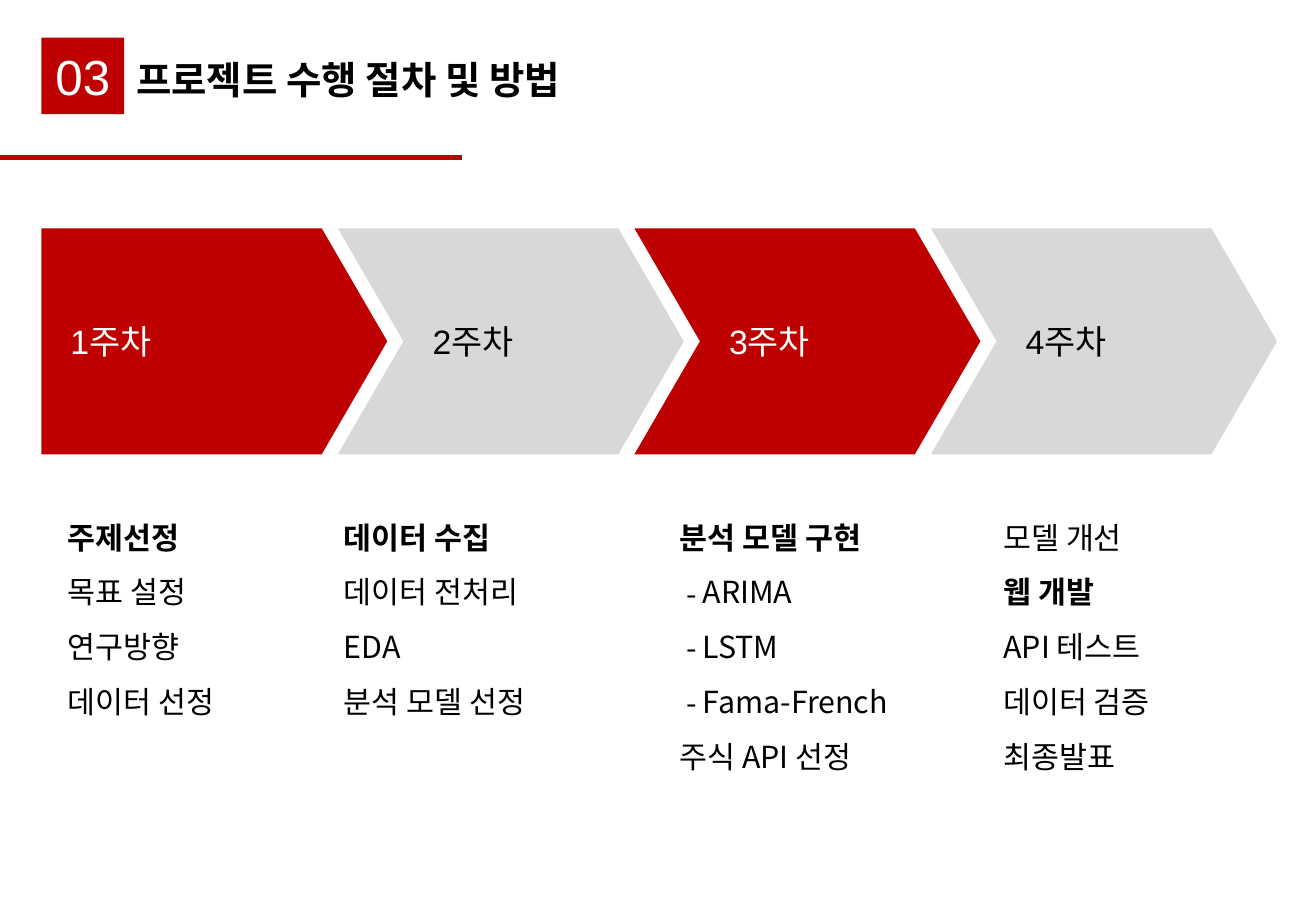
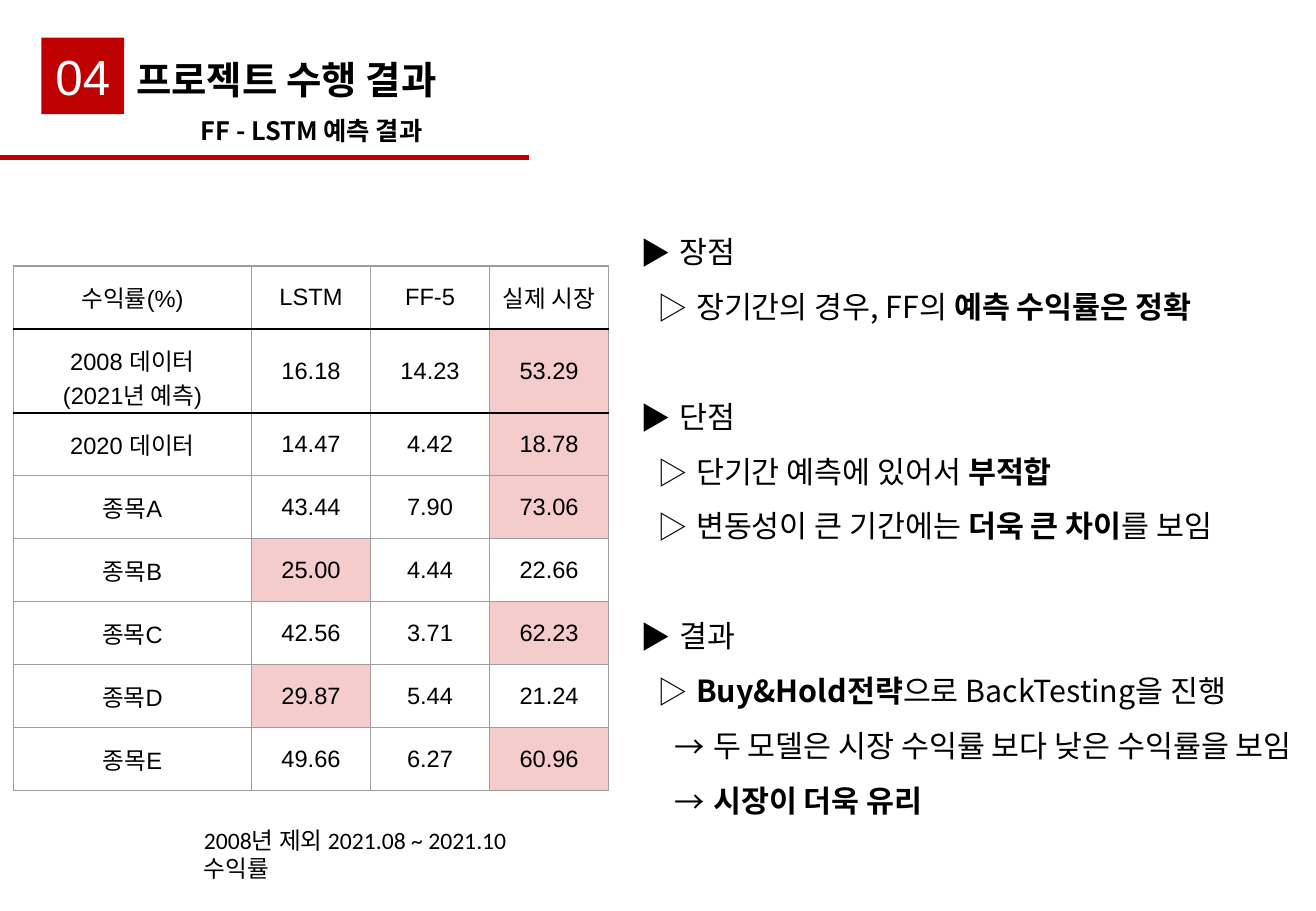
from dataclasses import dataclass

from lxml import etree
from pptx import Presentation
from pptx.dml.color import RGBColor
from pptx.enum.shapes import MSO_CONNECTOR, MSO_SHAPE
from pptx.enum.text import MSO_ANCHOR, PP_ALIGN
from pptx.oxml.ns import qn
from pptx.util import Inches, Pt

MIDDLE, TOP = MSO_ANCHOR.MIDDLE, MSO_ANCHOR.TOP
LEFT, CENTER = PP_ALIGN.LEFT, PP_ALIGN.CENTER
RECTANGLE, PENTAGON, CHEVRON = MSO_SHAPE.RECTANGLE, MSO_SHAPE.PENTAGON, MSO_SHAPE.CHEVRON
STRAIGHT = MSO_CONNECTOR.STRAIGHT

COLORS = {
    "red": "BE0000", "gray": "D8D8D8", "black": "000000",
    "white": "FFFFFF", "pink": "F4CCCC", "grid": "9E9E9E",
}
SANS, LATIN, TITLE, CAPTION = "Noto Sans CJK KR", "Arial", "Lato", "Calibri"
SLIDE_WIDTH, SLIDE_HEIGHT = Inches(10.83), Inches(7.5)
LIST_PITCH = 32.5

WEEKS = ["1주차", "2주차", "3주차", "4주차"]
TASKS = [
    (0, ["*주제선정*", "목표 설정", "연구방향", "데이터 선정"]),
    (0.23, ["*데이터 수집*", "데이터 전처리", "EDA", "분석 모델 선정"]),
    (0.51, ["*분석 모델 구현*", "- ARIMA", "- LSTM", "- Fama-French", "주식 API 선정"]),
    (0.78, ["모델 개선", "*웹 개발*", "API 테스트", "데이터 검증", "최종발표"]),
]
FINDINGS = [
    "▶ 장점",
    "▷ 장기간의 경우, FF의 *예측 수익률은 정확*",
    "▶ 단점",
    "▷ 단기간 예측에 있어서 *부적합*",
    "▷ 변동성이 큰 기간에는 *더욱 큰 차이*를 보임",
    "▶ 결과",
    "▷ *Buy&Hold전략*으로 BackTesting을 진행",
    "→ 두 모델은 시장 수익률 보다 낮은 수익률을 보임",
    "→ *시장이 더욱 유리*",
]
BULLET_INDENTS = {"-": (0.06, 0.13), "▶": (0, 0.32), "▷": (0.14, 0.32), "→": (0.28, 0.32)}
RETURNS = [
    ["수익률(%)", "LSTM", "FF-5", "실제 시장"],
    ["2008 데이터\n(2021년 예측)", "16.18", "14.23", "53.29"],
    ["2020 데이터", "14.47", "4.42", "18.78"],
    ["종목A", "43.44", "7.90", "73.06"],
    ["종목B", "25.00", "4.44", "22.66"],
    ["종목C", "42.56", "3.71", "62.23"],
    ["종목D", "29.87", "5.44", "21.24"],
    ["종목E", "49.66", "6.27", "60.96"],
]


@dataclass
class Box:
    left: float
    top: float
    width: float
    height: float

    def inner(self, left, top, width, height):
        return Box(self.left + left * self.width, self.top + top * self.height,
                   width * self.width, height * self.height)

    def lengths(self):
        return (int(self.left * SLIDE_WIDTH / 100), int(self.top * SLIDE_HEIGHT / 100),
                int(self.width * SLIDE_WIDTH / 100), int(self.height * SLIDE_HEIGHT / 100))


def color(name):
    return RGBColor.from_string(COLORS[name])


def add_runs(paragraph, text, size, font, ink="black", bold=False):
    for index, piece in enumerate(text.split("*")):
        if piece:
            run = paragraph.add_run()
            run.text = piece
            run.font.size = Pt(size)
            run.font.name = font
            run.font.bold = bold or index % 2 == 1
            run.font.color.rgb = color(ink)
            properties = run._r.get_or_add_rPr()
            etree.SubElement(properties, qn("a:ea")).set("typeface", SANS)


def add_bullet(paragraph, character):
    indent, hang = BULLET_INDENTS[character]
    properties = paragraph._p.get_or_add_pPr()
    properties.set("marL", str(Inches(indent + hang)))
    properties.set("indent", str(-Inches(hang)))
    etree.SubElement(properties, qn("a:buFont")).set("typeface", SANS)
    etree.SubElement(properties, qn("a:buChar")).set("char", character)


def set_margins(holder, left, top, right, bottom):
    holder.margin_left, holder.margin_top = Inches(left), Inches(top)
    holder.margin_right, holder.margin_bottom = Inches(right), Inches(bottom)


def add_text(slide, box, lines, size, font, pitch, bold=False, align=LEFT,
             margins=(0.1, 0.05, 0, 0.05)):
    frame = slide.shapes.add_textbox(*box.lengths()).text_frame
    frame.word_wrap = True
    frame.vertical_anchor = TOP
    set_margins(frame, *margins)
    for index, line in enumerate(lines):
        paragraph = frame.paragraphs[0] if index == 0 else frame.add_paragraph()
        paragraph.alignment = align
        paragraph.line_spacing = Pt(pitch)
        marker, _, rest = line.partition(" ")
        if marker in BULLET_INDENTS:
            if marker == "▶" and index:
                paragraph.space_before = Pt(pitch)
            add_bullet(paragraph, marker)
            line = rest
        add_runs(paragraph, line, size, font, bold=bold)


def add_block(slide, box, preset, fill, text, size, ink, align, margins):
    shape = slide.shapes.add_shape(preset, *box.lengths())
    shape.shadow.inherit = False
    shape.fill.solid()
    shape.fill.fore_color.rgb = color(fill)
    shape.line.fill.background()
    frame = shape.text_frame
    frame.vertical_anchor = MIDDLE
    set_margins(frame, *margins)
    paragraph = frame.paragraphs[0]
    paragraph.alignment = align
    add_runs(paragraph, text, size, LATIN, ink)
    return shape


def add_header(slide, box, number, title, rule_end):
    add_block(slide, box.inner(0, 0, 0.14, 1), RECTANGLE, "red", number, 29.2,
              "white", CENTER, (0.08, 0.04, 0.08, 0.04))
    add_text(slide, box.inner(0.14, 0.13, 0.86, 0.76), [title], 22.8, TITLE, 29, bold=True)
    _, rule_top, end, _ = Box(0, 17.33, rule_end, 0).lengths()
    rule = slide.shapes.add_connector(STRAIGHT, 0, rule_top, end, rule_top)
    rule.line.color.rgb = color("red")
    rule.line.width = Pt(3)
    etree.SubElement(rule._element.spPr, qn("a:effectLst"))


def add_process(slide, box):
    for index, week in enumerate(WEEKS):
        fill, ink = ("gray", "black") if index % 2 else ("red", "white")
        arrow = add_block(slide, box.inner(0.24 * index, 0, 0.28, 1),
                          CHEVRON if index else PENTAGON, fill, week, 20, ink,
                          LEFT, (0.24, 0.05, 0.1, 0.05))
        arrow.adjustments[0] = 0.29


def add_tasks(slide, box):
    for offset, lines in TASKS:
        add_text(slide, box.inner(offset, 0, 0.22, 1), lines, 18, SANS, LIST_PITCH)


def set_borders(cell, heavy_top, heavy_bottom):
    properties = cell._tc.get_or_add_tcPr()
    heavy = {"a:lnT": heavy_top, "a:lnB": heavy_bottom}
    for index, side in enumerate(("a:lnL", "a:lnR", "a:lnT", "a:lnB")):
        is_heavy = heavy.get(side, False)
        border = etree.Element(qn(side), w=str(Pt(1.5 if is_heavy else 0.75)))
        fill = etree.SubElement(border, qn("a:solidFill"))
        shade = COLORS["black" if is_heavy else "grid"]
        etree.SubElement(fill, qn("a:srgbClr")).set("val", shade)
        properties.insert(index, border)


def add_returns_table(slide, box):
    left, top, width, height = box.lengths()
    table = slide.shapes.add_table(len(RETURNS), len(RETURNS[0]), left, top, width, height).table
    table.first_row = table.horz_banding = False
    for index, column in enumerate(table.columns):
        column.width = int(width * (0.2 if index else 0.4))
    for row_index, values in enumerate(RETURNS):
        table.rows[row_index].height = int(height * (0.16 if row_index == 1 else 0.12))
        best = max(values[1:], key=float) if row_index else None
        for column_index, value in enumerate(values):
            cell = table.cell(row_index, column_index)
            lines = value.split("\n")
            cell.vertical_anchor = MIDDLE
            set_margins(cell, 0.1, 0.1, 0.1, 0 if len(lines) > 1 else 0.1)
            if value == best:
                cell.fill.solid()
                cell.fill.fore_color.rgb = color("pink")
            else:
                cell.fill.background()
            set_borders(cell, row_index in (1, 2), row_index in (0, 1))
            for index, line in enumerate(lines):
                frame = cell.text_frame
                paragraph = frame.add_paragraph() if index else frame.paragraphs[0]
                paragraph.alignment = CENTER
                add_runs(paragraph, line, 14, LATIN)


def build_procedure(slide):
    add_header(slide, Box(3.14, 4.13, 45, 8.4), "03", "프로젝트 수행 절차 및 방법", 35.09)
    add_process(slide, Box(3.14, 25.07, 93.9, 24.8))
    add_tasks(slide, Box(4.25, 54.27, 91.13, 29.6))


def build_results(slide):
    add_header(slide, Box(3.14, 4.13, 45, 8.4), "04", "프로젝트 수행 결과", 40.17)
    add_text(slide, Box(10.34, 11.33, 26.69, 6), ["FF - LSTM 예측 결과"], 15, SANS, 18,
             bold=True, align=CENTER, margins=(0.1, 0.1, 0.1, 0.1))
    add_returns_table(slide, Box(1.02, 29.2, 45.24, 57.6))
    add_text(slide, Box(47.74, 22.93, 52.17, 66), FINDINGS, 18, SANS, LIST_PITCH)
    add_text(slide, Box(14.59, 89.33, 29.55, 5.87), ["2008년 제외 2021.08 ~ 2021.10 수익률"],
             14, CAPTION, 16.6, margins=(0.1, 0.1, 0.1, 0.1))


def main():
    presentation = Presentation()
    presentation.slide_width, presentation.slide_height = SLIDE_WIDTH, SLIDE_HEIGHT
    for build in (build_procedure, build_results):
        build(presentation.slides.add_slide(presentation.slide_layouts[6]))
    presentation.save("out.pptx")


if __name__ == "__main__":
    main()
